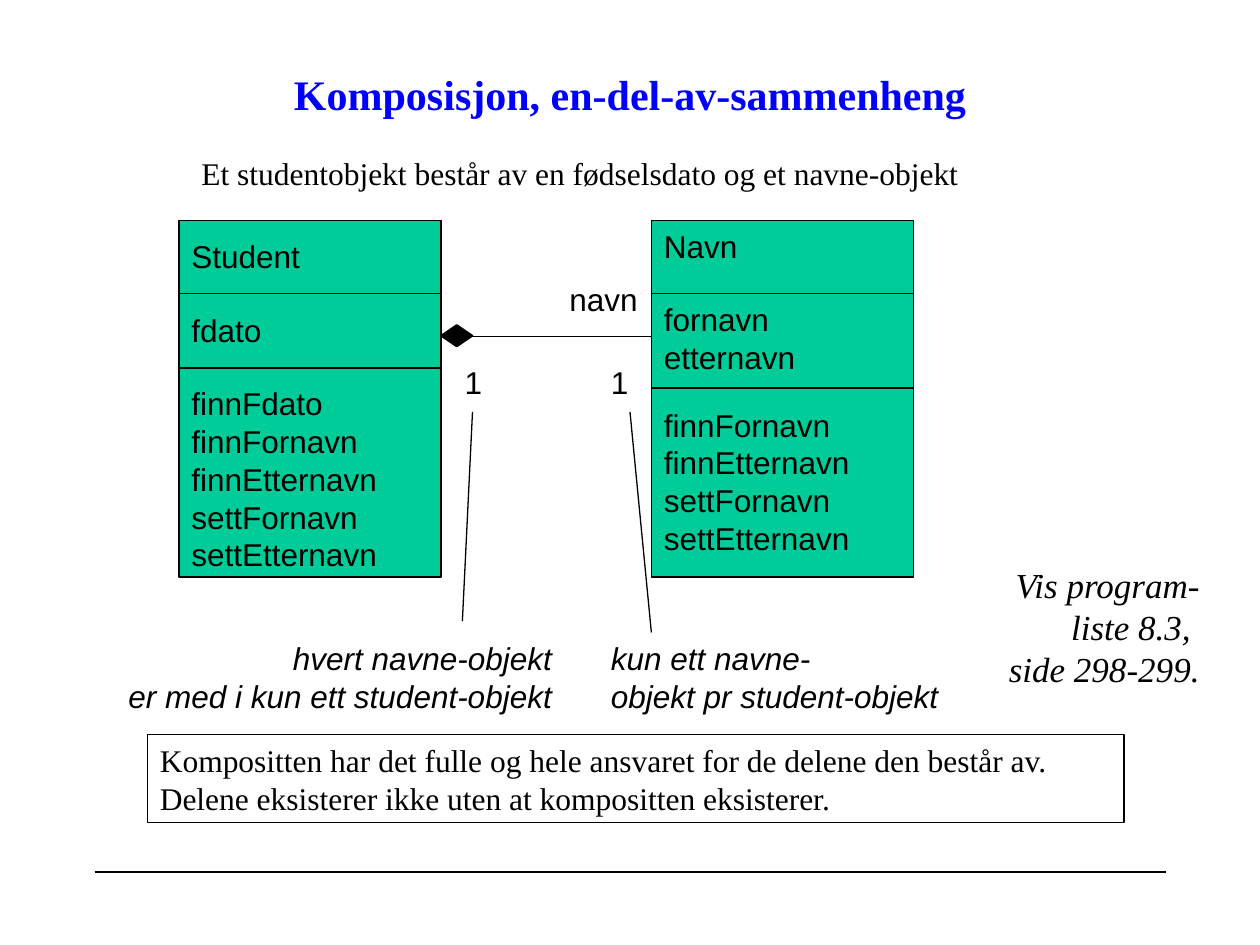
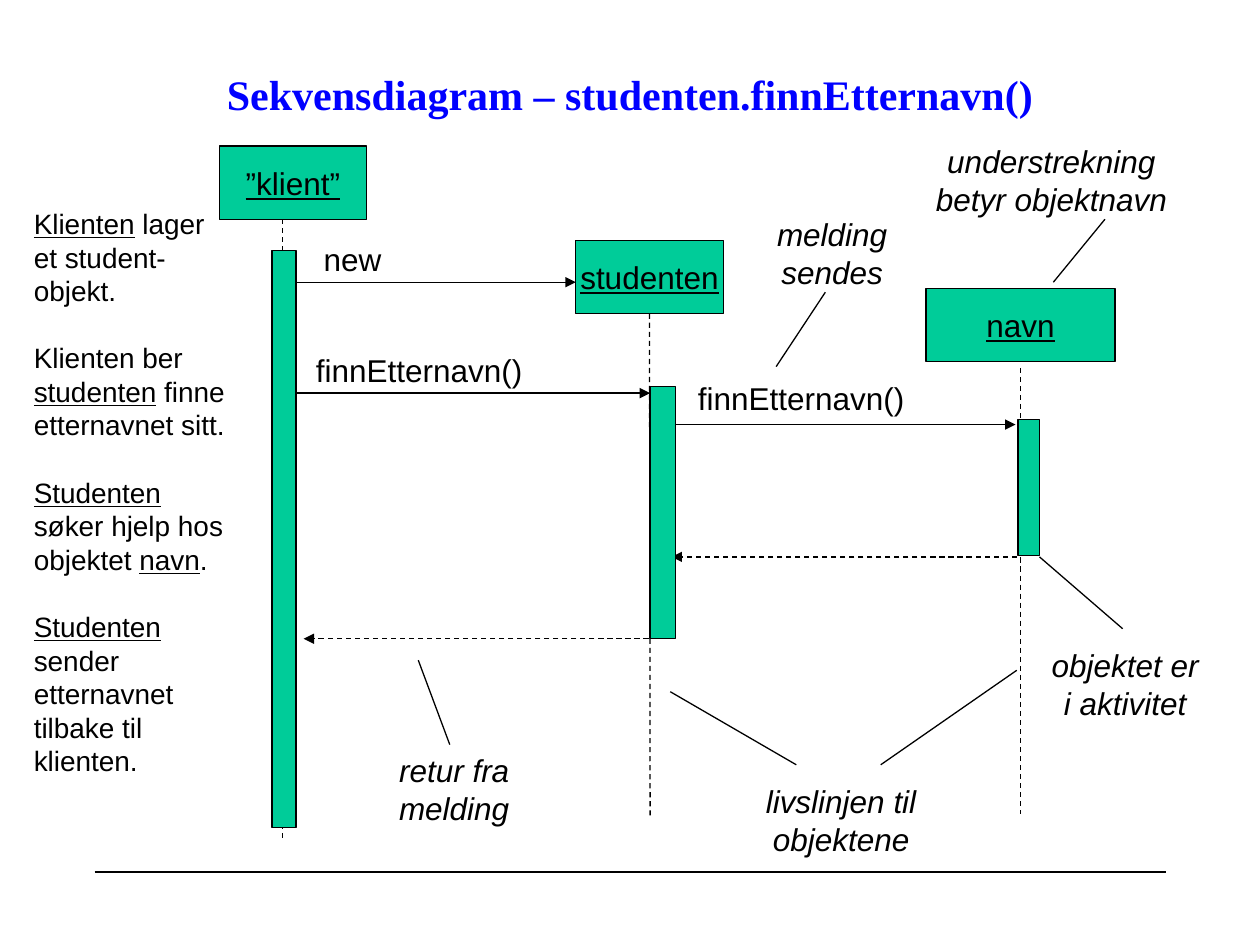
from lxml import etree
from pptx import Presentation
from pptx.dml.color import RGBColor
from pptx.enum.dml import MSO_LINE
from pptx.enum.shapes import MSO_CONNECTOR, MSO_SHAPE
from pptx.enum.text import MSO_ANCHOR, PP_ALIGN
from pptx.oxml.ns import qn
from pptx.util import Inches, Pt

BLACK = RGBColor(0x00, 0x00, 0x00)
BLUE = RGBColor(0x00, 0x00, 0xFF)
GREEN = RGBColor(0x00, 0xCC, 0x99)
SANS, SERIF = "Arial", "Times New Roman"
LEFT, CENTER, RIGHT = PP_ALIGN.LEFT, PP_ALIGN.CENTER, PP_ALIGN.RIGHT
TOP, MIDDLE = MSO_ANCHOR.TOP, MSO_ANCHOR.MIDDLE
RECTANGLE, DIAMOND = MSO_SHAPE.RECTANGLE, MSO_SHAPE.DIAMOND
STRAIGHT, DASH = MSO_CONNECTOR.STRAIGHT, MSO_LINE.DASH
TITLE_ONLY = 5
LINE_FACTOR = 1.2
BOTTOM_SIDE = 2


def write_text(shape, text, size=18, font=SANS, color=BLACK, bold=False, italic=False,
               align=LEFT, anchor=TOP, wrap=False, gap_before=()):
    """Fill a shape; each line is a paragraph and _words_ are underlined."""
    frame = shape.text_frame
    frame.word_wrap = wrap
    frame.vertical_anchor = anchor
    for index, line in enumerate(text.split("\n")):
        paragraph = frame.paragraphs[0] if index == 0 else frame.add_paragraph()
        paragraph.alignment = align
        paragraph.line_spacing = Pt(size * LINE_FACTOR)
        paragraph.space_before = Pt(size * LINE_FACTOR if index in gap_before else 0)
        for part, words in enumerate(line.split("_")):
            if not words:
                continue
            run = paragraph.add_run()
            run.text = words
            run.font.name, run.font.size = font, Pt(size)
            run.font.bold, run.font.italic = bold, italic
            run.font.underline = part % 2 == 1
            run.font.color.rgb = color


class Deck:
    def __init__(self):
        self.presentation = Presentation()
        self.presentation.slide_width = Inches(10)
        self.presentation.slide_height = Inches(7.5)
        self.slide = None

    def add_slide(self, title):
        layout = self.presentation.slide_layouts[TITLE_ONLY]
        self.slide = self.presentation.slides.add_slide(layout)
        holder = self.slide.shapes.title
        holder.left, holder.top = Inches(0.75), Inches(0.33)
        holder.width, holder.height = Inches(8.5), Inches(0.83)
        write_text(holder, title, size=24, font=SERIF, color=BLUE, bold=True,
                   align=CENTER, anchor=MIDDLE, wrap=True)
        self.line((0.75, 6.92), (9.25, 6.92))

    def text(self, left, top, width, height, text, **style):
        box = self.slide.shapes.add_textbox(
            Inches(left), Inches(top), Inches(width), Inches(height))
        write_text(box, text, **style)

    def note(self, left, top, width, text, align=CENTER, **style):
        self.text(left, top, width, 0.7, text, italic=True, align=align,
                  anchor=MIDDLE, **style)

    def box(self, left, top, width, height, kind=RECTANGLE, fill=GREEN, line_width=0.75):
        shape = self.slide.shapes.add_shape(
            kind, Inches(left), Inches(top), Inches(width), Inches(height))
        shape.shadow.inherit = False
        if fill is None:
            shape.fill.background()
        else:
            shape.fill.solid()
            shape.fill.fore_color.rgb = fill
        shape.line.color.rgb = BLACK
        shape.line.width = Pt(line_width)
        return shape

    def line(self, start, end, dashed=False, arrow=False):
        connector = self.slide.shapes.add_connector(
            STRAIGHT, *(Inches(value) for value in (*start, *end)))
        connector.line.color.rgb = BLACK
        connector.line.width = Pt(0.75)
        if dashed:
            connector.line.dash_style = DASH
        if arrow:
            outline = connector.line._get_or_add_ln()
            etree.SubElement(outline, qn("a:tailEnd"), type="triangle")
        etree.SubElement(connector._element.spPr, qn("a:effectLst"))
        return connector

    def class_box(self, left, dividers, sections):
        width = 2.08
        self.box(left, 1.75, width, 2.83)
        for height in dividers:
            self.line((left, height), (left + width, height))
        for top, members in sections:
            lines = members.count("\n") + 1
            self.text(left, top, width, 0.1 + 0.3 * lines, members, wrap=True)

    def object_box(self, left, top, width, name):
        shape = self.box(left, top, width, 0.58)
        write_text(shape, f"_{name}_", align=CENTER, anchor=MIDDLE)
        return shape


def build_composition(deck):
    deck.add_slide("Komposisjon, en-del-av-sammenheng")
    deck.text(1.5, 1.17, 6.21, 0.4, font=SERIF,
              text="Et studentobjekt består av en fødselsdato og et navne-objekt")

    # Classes
    deck.class_box(1.42, (2.33, 2.92), (
        (1.83, "Student"),
        (2.42, "fdato"),
        (3, "finnFdato\nfinnFornavn\nfinnEtternavn\nsettFornavn\nsettEtternavn")))
    deck.class_box(5.17, (2.33, 3.08), (
        (1.75, "Navn"),
        (2.33, "fornavn\netternavn"),
        (3.17, "finnFornavn\nfinnEtternavn\nsettFornavn\nsettEtternavn")))

    # Composition link with its role and multiplicities
    diamond = deck.box(3.54, 2.54, 0.17, 0.25, DIAMOND, BLACK, 1)
    diamond.rotation = 90
    deck.line((3.58, 2.67), (5.17, 2.67))
    deck.text(4.42, 2.17, 0.74, 0.4, "navn")
    for left in (3.59, 4.75):
        deck.text(left, 2.83, 0.34, 0.4, "1")

    # Explanations
    deck.line((3.67, 4.93), (3.75, 3.27))
    deck.note(0.72, 5.02, 3.76, "hvert navne-objekt\ner med i kun ett student-objekt",
              align=RIGHT, wrap=True)
    deck.line((5, 3.27), (5.17, 5.02))
    deck.note(4.75, 5.02, 3.17, "kun ett navne-\nobjekt pr student-objekt",
              align=LEFT, wrap=True)
    deck.text(7.58, 4.42, 2.04, 1.1, "Vis program-liste 8.3, \nside 298-299.",
              size=20, font=SERIF, italic=True, align=RIGHT, wrap=True)
    conclusion = deck.box(1.17, 5.83, 7.75, 0.7, fill=None)
    write_text(conclusion, font=SERIF, wrap=True, text=(
        "Kompositten har det fulle og hele ansvaret for de delene den består av.\n"
        "Delene eksisterer ikke uten at kompositten eksisterer."))


def build_sequence(deck):
    deck.add_slide("Sekvensdiagram – studenten.finnEtternavn()")

    # Objects and lifelines
    deck.object_box(1.74, 1.16, 1.17, "”klient”")
    student = deck.object_box(4.57, 1.91, 1.17, "studenten")
    deck.object_box(7.35, 2.29, 1.5, "navn")
    deck.line((2.24, 1.74), (2.24, 6.67), dashed=True)
    student_life = deck.line((5.16, 2.49), (5.16, 6.49), dashed=True)
    student_life.begin_connect(student, BOTTOM_SIDE)
    deck.line((8.1, 2.92), (8.1, 6.46), dashed=True)

    # Messages and returns
    for start, end, height, dashed in (
            (2.24, 4.57, 2.24, False),
            (2.34, 5.16, 3.12, False),
            (5.16, 8.06, 3.37, False),
            (8.07, 5.33, 4.42, True),
            (5.22, 2.41, 5.07, True)):
        deck.line((start, height), (end, height), dashed=dashed, arrow=True)
    deck.text(2.47, 1.86, 0.66, 0.4, "new")
    for left, top in ((2.41, 2.74), (5.44, 2.96)):
        deck.text(left, top, 1.84, 0.4, "finnEtternavn()")

    # Activations
    for activation in ((2.16, 1.99, 0.19, 4.58), (5.16, 3.07, 0.2, 2),
                       (8.08, 3.33, 0.17, 1.08)):
        deck.box(*activation)

    # Notes and their pointers
    for note in ((7.13, 1.08, 2.43, "understrekning\nbetyr objektnavn"),
                 (5.87, 1.66, 1.47, "melding\nsendes"),
                 (8.05, 5.08, 1.76, "objektet er\ni aktivitet"),
                 (5.78, 6.16, 1.79, "livslinjen til\nobjektene"),
                 (2.87, 5.91, 1.47, "retur fra\nmelding")):
        deck.note(*note, wrap=True)
    for start, end in (((8.36, 2.24), (8.77, 1.74)),
                       ((6.16, 2.91), (6.55, 2.32)),
                       ((8.25, 4.42), (8.91, 4.99)),
                       ((6.99, 6.07), (8.07, 5.32)),
                       ((6.32, 6.07), (5.32, 5.49)),
                       ((3.57, 5.91), (3.32, 5.24))):
        deck.line(start, end)

    # Story in the margin
    deck.text(0.17, 1.59, 1.77, 5.17, size=16, wrap=True, gap_before=(1, 3, 4), text=(
        "_Klienten_ lager et student-objekt.\n"
        "Klienten ber _studenten_ finne\n"
        "etternavnet sitt.\n"
        "_Studenten_ søker hjelp hos objektet _navn_.\n"
        "_Studenten_ sender etternavnet\n"
        "tilbake til klienten."))


def main():
    deck = Deck()
    build_composition(deck)
    build_sequence(deck)
    deck.presentation.save("out.pptx")


if __name__ == "__main__":
    main()
